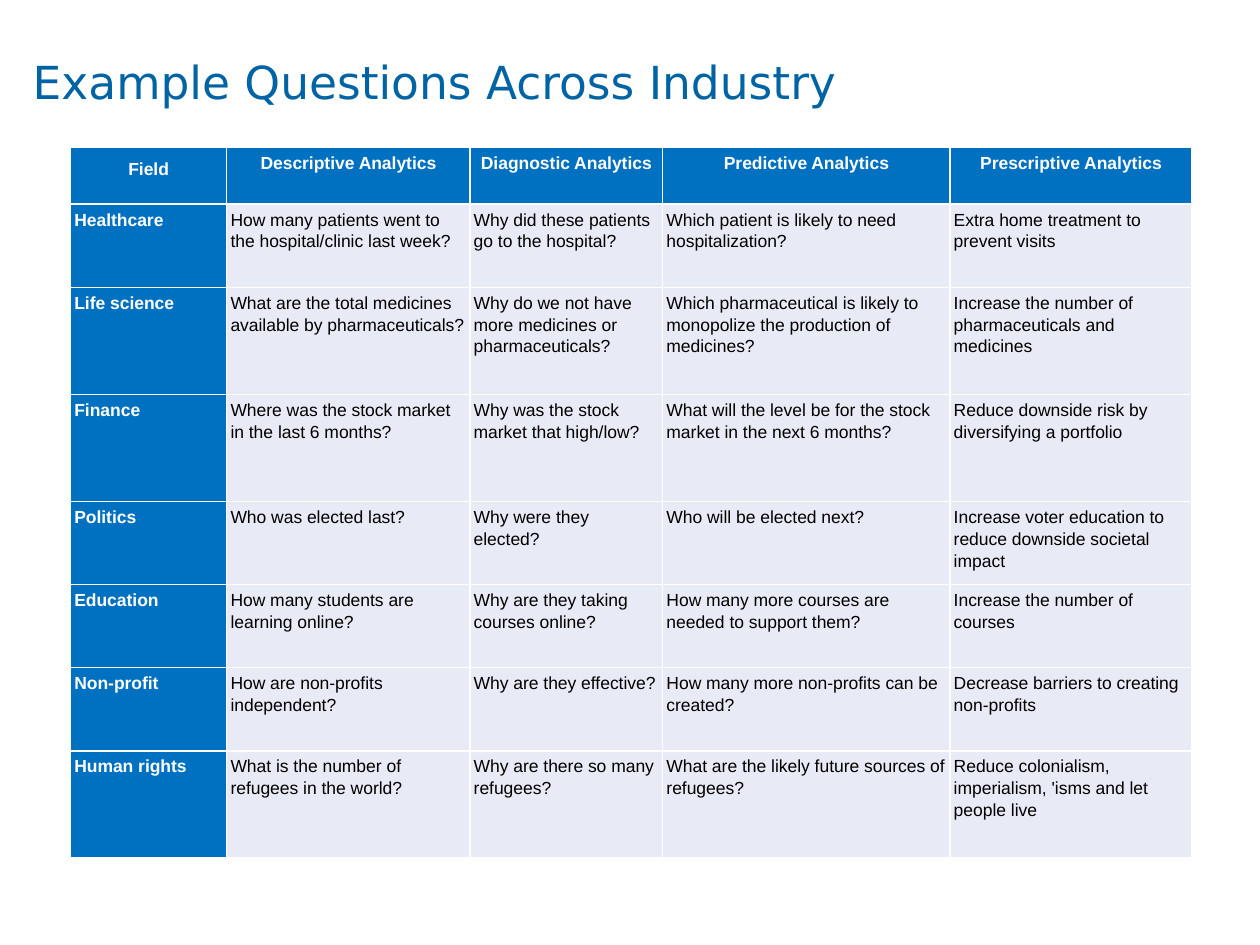
from lxml.etree import SubElement
from pptx import Presentation
from pptx.dml.color import RGBColor
from pptx.enum.text import MSO_ANCHOR as Anchor, PP_ALIGN as Align
from pptx.oxml.ns import qn
from pptx.util import Inches, Pt

HEADERS = ["Field", "Descriptive Analytics", "Diagnostic Analytics",
           "Predictive Analytics", "Prescriptive Analytics"]
QUESTIONS = [
    ["Healthcare", "How many patients went to the hospital/clinic last week?",
     "Why did these patients go to the hospital?",
     "Which patient is likely to need hospitalization?",
     "Extra home treatment to prevent visits"],
    ["Life science", "What are the total medicines available by pharmaceuticals?",
     "Why do we not have more medicines or pharmaceuticals?",
     "Which pharmaceutical is likely to monopolize the production of medicines?",
     "Increase the number of pharmaceuticals and medicines"],
    ["Finance", "Where was the stock market in the last 6 months?",
     "Why was the stock market that high/low?",
     "What will the level be for the stock market in the next 6 months?",
     "Reduce downside risk by diversifying a portfolio"],
    ["Politics", "Who was elected last?", "Why were they elected?",
     "Who will be elected next?",
     "Increase voter education to reduce downside societal impact"],
    ["Education", "How many students are learning online?",
     "Why are they taking courses online?",
     "How many more courses are needed to support them?",
     "Increase the number of courses"],
    ["Non-profit", "How are non-profits independent?", "Why are they effective?",
     "How many more non-profits can be created?",
     "Decrease barriers to creating non-profits"],
    ["Human rights", "What is the number of refugees in the world?",
     "Why are there so many refugees?",
     "What are the likely future sources of refugees?",
     "Reduce colonialism, imperialism, 'isms and let people live"],
]
COLUMN_WIDTHS = [1.24, 1.93, 1.53, 2.28, 1.92]
SHORT, TALL = 0.66, 0.85
ROW_HEIGHTS = [0.45, SHORT, TALL, TALL, SHORT, SHORT, SHORT, TALL]


def rgb(value):
    return RGBColor.from_string(value)


def write(frame, text, *, font="Arial", size=10, color="000000", bold=False,
          align=Align.LEFT, spacing=1.0):
    frame.word_wrap = True
    para = frame.paragraphs[0]
    para.alignment = align
    para.line_spacing = spacing
    span = para.add_run()
    span.text = text
    span.font.name = font
    span.font.size = Pt(size)
    span.font.bold = bold
    span.font.color.rgb = rgb(color)


def set_margins(target, inset):
    target.margin_left = target.margin_right = Inches(inset)
    target.margin_top = target.margin_bottom = Inches(inset)


class SlideBuilder:
    title_color = "0064A4"
    head_fill = "0070C0"
    body_fill = "E8EBF5"
    white = "FFFFFF"

    def __init__(self, page):
        self.page = page

    def title(self, text, left, top, width, height):
        box = self.page.shapes.title
        box.left, box.top = Inches(left), Inches(top)
        box.width, box.height = Inches(width), Inches(height)
        frame = box.text_frame
        set_margins(frame, 0.1)
        frame.vertical_anchor = Anchor.BOTTOM
        write(frame, text, font="DejaVu Sans", size=26, color=self.title_color)

    def borders(self, cell):
        """Draw a thin white line on all four sides; lines must precede the fill."""
        properties = cell._tc.get_or_add_tcPr()
        for side in ("a:lnL", "a:lnR", "a:lnT", "a:lnB"):
            line = SubElement(properties, qn(side), w=str(Pt(1)))
            fill = SubElement(line, qn("a:solidFill"))
            SubElement(fill, qn("a:srgbClr"), val=self.white)

    def cell(self, cell, text, is_header, is_label):
        strong = is_header or is_label
        set_margins(cell, 0.03)
        cell.vertical_anchor = Anchor.TOP
        self.borders(cell)
        cell.fill.solid()
        cell.fill.fore_color.rgb = rgb(self.head_fill if strong else self.body_fill)
        write(cell.text_frame, text, bold=strong, spacing=1.12,
              color=self.white if strong else "000000",
              align=Align.CENTER if is_header else Align.LEFT)

    def table(self, rows, left, top, widths, heights):
        table = self.page.shapes.add_table(
            len(rows), len(widths), Inches(left), Inches(top),
            Inches(sum(widths)), Inches(sum(heights))).table
        for column, width in zip(table.columns, widths):
            column.width = Inches(width)
        for row, height in zip(table.rows, heights):
            row.height = Inches(height)
        for r, texts in enumerate(rows):
            for c, text in enumerate(texts):
                self.cell(table.cell(r, c), text, r == 0, c == 0)
        return table


def main():
    deck = Presentation()
    deck.slide_width, deck.slide_height = Inches(10), Inches(7.5)
    builder = SlideBuilder(deck.slides.add_slide(deck.slide_layouts[5]))
    builder.title("Example Questions Across Industry", 0.16, 0.38, 9.81, 0.58)
    table = builder.table([HEADERS] + QUESTIONS, 0.56, 1.17,
                          COLUMN_WIDTHS, ROW_HEIGHTS)
    corner = table.cell(0, 0)
    corner.vertical_anchor = Anchor.BOTTOM
    corner.margin_bottom = Inches(0.2)
    deck.save("out.pptx")


if __name__ == "__main__":
    main()
